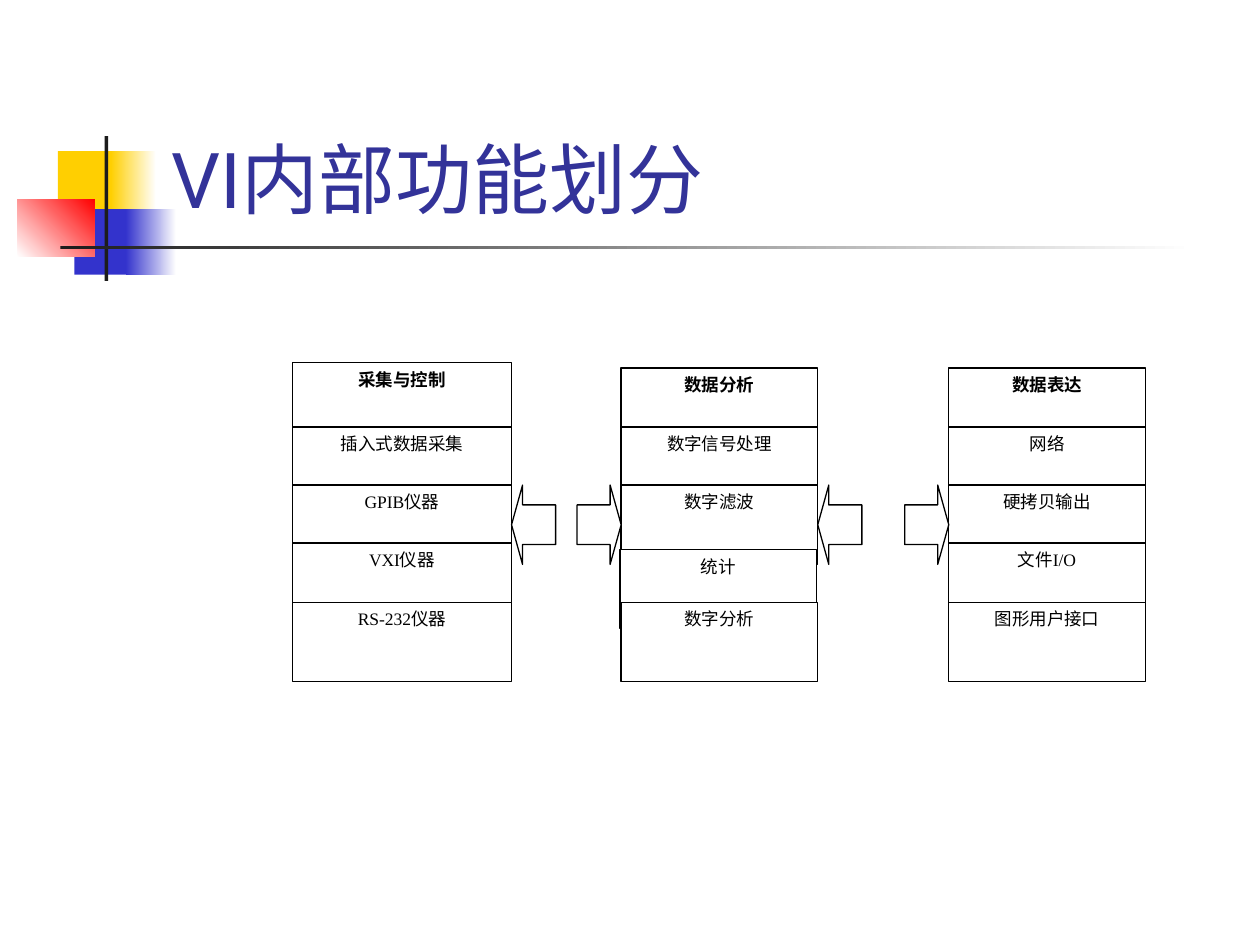
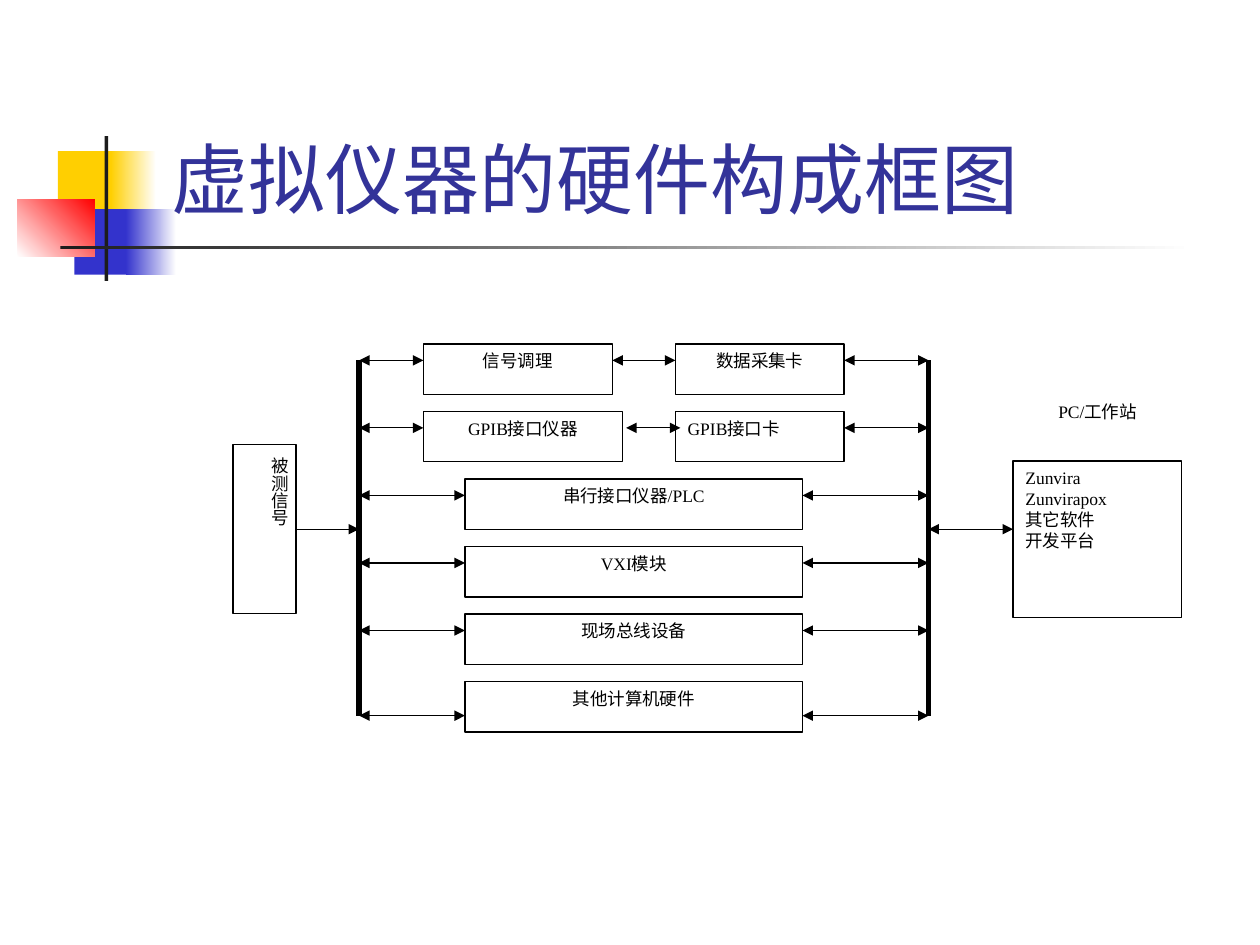
"""Build two slides on the functions and hardware of virtual instruments."""
from dataclasses import dataclass

from lxml import etree
from pptx import Presentation
from pptx import util as u
from pptx.dml.color import RGBColor
from pptx.enum import shapes, text
from pptx.oxml.ns import qn

BLACK, WHITE = "000000", "FFFFFF"
YELLOW, BLUE, RED, CHARCOAL, TITLE_BLUE = "FFCF01", "3333CC", "FF0000", "1C1C1C", "333399"
TITLE_FONT, BODY_FONT = "Roboto", "Times New Roman"
CENTER, JUSTIFY = text.PP_ALIGN.CENTER, text.PP_ALIGN.JUSTIFY
RECTANGLE = shapes.MSO_SHAPE.RECTANGLE
LEFT_ARROW, RIGHT_ARROW = shapes.MSO_SHAPE.LEFT_ARROW, shapes.MSO_SHAPE.RIGHT_ARROW

CELL_HEIGHT, CELL_TOPS = 0.63, (2.92, 3.39, 3.85, 4.31, 4.78)
ARROW_TOP, ARROW_WIDTH = 3.85, 0.35
ROW_TOP, ROW_PITCH, ROW_HEIGHT = 2.73, 0.536, 0.4
SIGNAL_BUS, COMPUTER_BUS, BUS_TOP, BUS_BOTTOM = 2.85, 7.37, 2.86, 5.68
MAIN_LINK = 4.2


@dataclass(frozen=True)
class Area:
    """A rectangle measured in inches."""
    left: float
    top: float
    width: float
    height: float

    def lengths(self) -> tuple:
        """Return the four measures as lengths."""
        return tuple(map(u.Inches, (self.left, self.top, self.width, self.height)))


@dataclass(frozen=True)
class Band:
    """One piece of the ornament beside the title."""
    area: Area
    start: str
    end: str = ""
    angle: int = 0


@dataclass(frozen=True)
class FunctionStack:
    """A column of functions, headed by its name."""
    left: float
    width: float
    functions: tuple[str, ...]
    nudges: dict[int, tuple[float, float]]


@dataclass(frozen=True)
class Device:
    """A device box within a hardware row."""
    name: str
    left: float
    width: float
    align: int = CENTER

    @property
    def right(self) -> float:
        """Return the right edge in inches."""
        return self.left + self.width


@dataclass(frozen=True)
class HardwareRow:
    """Devices joined between the two buses."""
    devices: tuple[Device, ...]
    link_drop: float = 0.13
    inner_link: tuple[float, float] = (0, 0)


ORNAMENT = (
    Band(Area(0.46, 1.2, 0.48, 0.52), YELLOW),
    Band(Area(0.88, 1.2, 0.36, 0.52), YELLOW, WHITE),
    Band(Area(0.59, 1.66, 0.46, 0.52), BLUE),
    Band(Area(1, 1.66, 0.4, 0.52), BLUE, WHITE),
    Band(Area(0.14, 1.58, 0.61, 0.46), WHITE, RED, 45),
    Band(Area(0.83, 1.08, 0.03, 1.15), CHARCOAL),
    Band(Area(0.48, 1.95, 9, 0.03), CHARCOAL, WHITE),
)

STACKS = (
    FunctionStack(2.32, 1.74, ("采集与控制", "插入式数据采集", "GPIB仪器", "VXI仪器", "RS-232仪器"),
                  {0: (0, -0.04)}),
    FunctionStack(4.93, 1.56, ("数据分析", "数字信号处理", "数字滤波", "统计", "数字分析"),
                  {3: (-0.01, 0.05)}),
    FunctionStack(7.53, 1.56, ("数据表达", "网络", "硬拷贝输出", "文件I/O", "图形用户接口"), {}),
)

HARDWARE = (
    HardwareRow((Device("信号调理", 3.36, 1.5), Device("数据采集卡", 5.36, 1.34)),
                inner_link=(4.86, 5.36)),
    HardwareRow((Device("GPIB接口仪器", 3.36, 1.58), Device("GPIB接口卡", 5.36, 1.34, JUSTIFY)),
                inner_link=(4.97, 5.4)),
    *(HardwareRow((Device(name, 3.69, 2.68),))
      for name in ("串行接口仪器/PLC", "VXI模块", "现场总线设备")),
    HardwareRow((Device("其他计算机硬件", 3.69, 2.68),), link_drop=0.27),
)


def rgb(value: str) -> RGBColor:
    """Turn a hex string into a colour."""
    return RGBColor.from_string(value)


def write(frame, content: str, *, size: float = 10, font: str = BODY_FONT, color: str = BLACK,
          bold: bool = False, align: int | None = CENTER, anchor=text.MSO_ANCHOR.TOP,
          insets: tuple[float, float] = (0.1, 0.05)) -> None:
    """Write the lines of content as formatted paragraphs."""
    frame.word_wrap = True
    frame.vertical_anchor = anchor
    frame.margin_left = frame.margin_right = u.Inches(insets[0])
    frame.margin_top = frame.margin_bottom = u.Inches(insets[1])
    frame.text = content
    for paragraph in frame.paragraphs:
        paragraph.alignment = align
        for run in paragraph.runs:
            run.font.size, run.font.name, run.font.bold = u.Pt(size), font, bold
            run.font.color.rgb = rgb(color)


def add_block(slide, area: Area, kind=RECTANGLE, fill: str = WHITE, outline: str = BLACK):
    """Add a flat shape; an empty colour leaves out its fill or outline."""
    block = slide.shapes.add_shape(kind, *area.lengths())
    block.shadow.inherit = False
    if fill:
        block.fill.solid()
        block.fill.fore_color.rgb = rgb(fill)
    else:
        block.fill.background()
    if outline:
        block.line.color.rgb = rgb(outline)
        block.line.width = u.Pt(0.75)
    else:
        block.line.fill.background()
    return block


def add_link(slide, start: tuple[float, float], finish: tuple[float, float],
             width: float = 0.75, ends: tuple[str, ...] = ("headEnd", "tailEnd")) -> None:
    """Connect two points, with arrowheads at the given ends."""
    link = slide.shapes.add_connector(shapes.MSO_CONNECTOR.STRAIGHT,
                                      *map(u.Inches, start + finish))
    link.line.color.rgb = rgb(BLACK)
    link.line.width = u.Pt(width)
    outline = link.line._get_or_add_ln()
    for end in ends:
        etree.SubElement(outline, qn(f"a:{end}"), type="triangle")
    etree.SubElement(link._element.spPr, qn("a:effectLst"))


def add_titled_slide(deck, title: str):
    """Add a blank slide with the ornament and its title."""
    slide = deck.slides.add_slide(deck.slide_layouts[6])
    for band in ORNAMENT:
        piece = add_block(slide, band.area, fill=band.start, outline="")
        if band.end:
            piece.fill.gradient()
            piece.fill.gradient_angle = band.angle
            for stop, color in zip(piece.fill.gradient_stops, (band.start, band.end)):
                stop.color.rgb = rgb(color)
    heading = slide.shapes.add_textbox(*Area(1.26, 0.23, 8.52, 1.6).lengths())
    write(heading.text_frame, title, size=44, font=TITLE_FONT, color=TITLE_BLUE,
          align=None, anchor=text.MSO_ANCHOR.BOTTOM)
    return slide


def add_stack(slide, stack: FunctionStack) -> None:
    """Draw a column of overlapping function boxes."""
    for index, (function, top) in enumerate(zip(stack.functions, CELL_TOPS)):
        across, down = stack.nudges.get(index, (0, 0))
        cell = add_block(slide, Area(stack.left + across, top + down, stack.width, CELL_HEIGHT))
        write(cell.text_frame, function, bold=index == 0)


def build_functions(deck) -> None:
    """Build the slide on internal functions."""
    slide = add_titled_slide(deck, "VI内部功能划分")
    for stack in STACKS:
        add_stack(slide, stack)
    for source, target in zip(STACKS, STACKS[1:]):
        arrows = ((LEFT_ARROW, source.left + source.width),
                  (RIGHT_ARROW, target.left - ARROW_WIDTH))
        for kind, left in arrows:
            arrow = add_block(slide, Area(left, ARROW_TOP, ARROW_WIDTH, CELL_HEIGHT), kind)
            arrow.adjustments[0], arrow.adjustments[1] = 0.5, 0.25


def add_hardware_row(slide, row: HardwareRow, top: float) -> None:
    """Draw the devices of a row and link them to both buses."""
    for device in row.devices:
        box = add_block(slide, Area(device.left, top, device.width, ROW_HEIGHT))
        write(box.text_frame, device.name, align=device.align)
    spans = [(SIGNAL_BUS, row.devices[0].left), (row.devices[-1].right, COMPUTER_BUS)]
    if any(row.inner_link):
        spans.append(row.inner_link)
    level = top + row.link_drop
    for start, finish in spans:
        add_link(slide, (start, level), (finish, level))


def build_hardware(deck) -> None:
    """Build the slide on the hardware structure."""
    slide = add_titled_slide(deck, "虚拟仪器的硬件构成框图")
    for bus in (SIGNAL_BUS, COMPUTER_BUS):
        add_link(slide, (bus, BUS_TOP), (bus, BUS_BOTTOM), width=3, ends=())
    for index, row in enumerate(HARDWARE):
        add_hardware_row(slide, row, ROW_TOP + index * ROW_PITCH)

    signal = add_block(slide, Area(1.85, 3.53, 0.5, 1.34)).text_frame
    write(signal, "被测信号", insets=(0.05, 0.1))
    signal._txBody.bodyPr.set("vert", "eaVert")
    add_link(slide, (2.35, MAIN_LINK), (SIGNAL_BUS, MAIN_LINK), ends=("tailEnd",))

    workstation = add_block(slide, Area(8.04, 3.13, 1.34, 0.4), fill="", outline=WHITE)
    write(workstation.text_frame, "PC/工作站")
    software = add_block(slide, Area(8.04, 3.66, 1.34, 1.24))
    write(software.text_frame, "Zunvira\nZunvirapox\n其它软件\n开发平台", align=JUSTIFY)
    add_link(slide, (8.04, MAIN_LINK), (COMPUTER_BUS, MAIN_LINK))


def main() -> None:
    """Build and save the presentation."""
    deck = Presentation()
    deck.slide_width, deck.slide_height = u.Inches(10), u.Inches(7.5)
    build_functions(deck)
    build_hardware(deck)
    deck.save("out.pptx")


if __name__ == "__main__":
    main()
